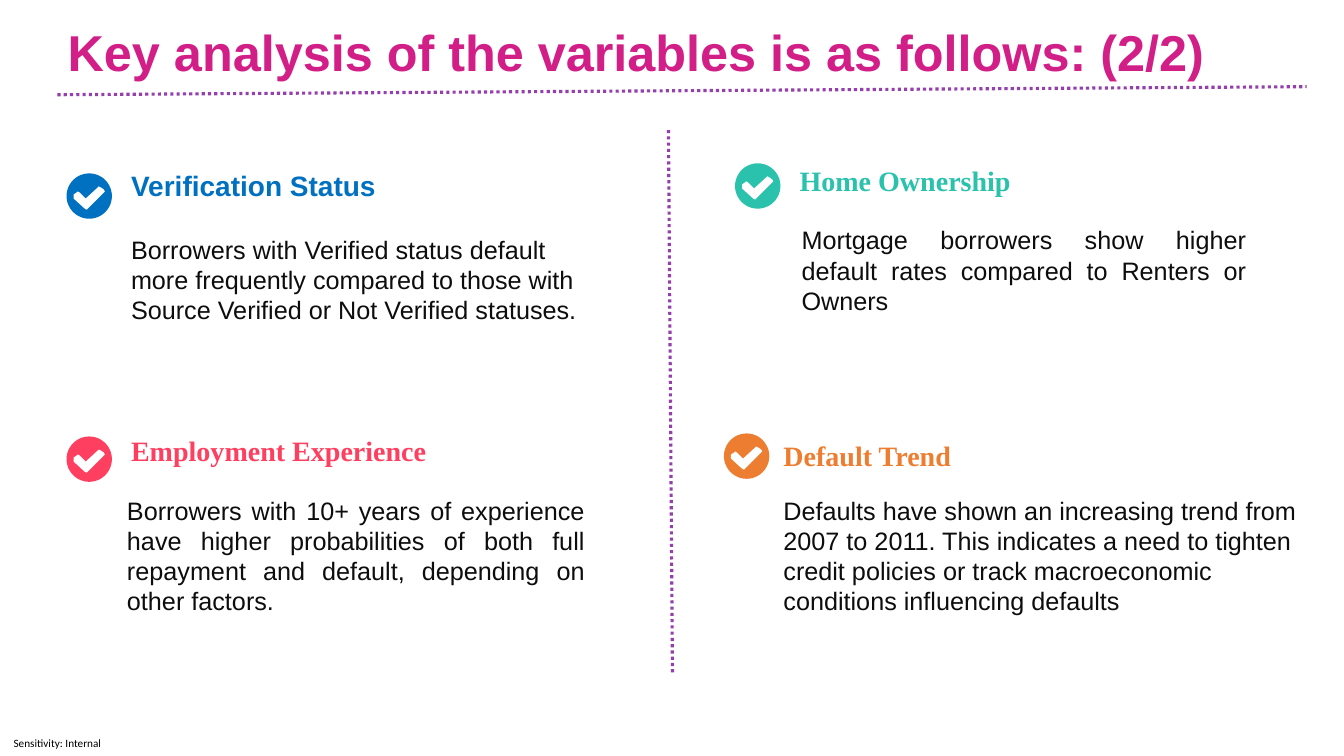
from lxml.etree import SubElement
from pptx import Presentation
from pptx.dml.color import RGBColor
from pptx.enum.dml import MSO_LINE
from pptx.enum.shapes import MSO_CONNECTOR, MSO_SHAPE
from pptx.enum.text import MSO_ANCHOR, MSO_AUTO_SIZE, PP_ALIGN
from pptx.oxml.ns import qn
from pptx.util import Inches, Pt

COLORS = {
    "title": "D21F88", "rule": "943FAB", "body": "0D0D0D", "label": "000000",
    "blue": "0070C0", "teal": "2AC2AC", "red": "FF3F5F", "orange": "ED7D31",
    "tick": "FFFFFF",
}
ICON = 0.45
HEAD_H = 0.34
LINE_H = 0.3
# Tick outline in hundredths of an inch from the icon's top left corner
TICK = [(37, 16), (34, 14), (32, 13), (31, 14), (19, 25), (13, 19), (11, 18),
        (10, 19), (7, 21), (7, 25), (18, 35), (20, 36), (21, 35), (37, 19), (38, 18)]


def rgb(name):
    return RGBColor.from_string(COLORS[name])


def add_text(box, text, size, font, color, bold=False, align=PP_ALIGN.LEFT, wrap=True):
    """Add a text box without insets; box is left, top, width, height in inches."""
    tf = s.shapes.add_textbox(*map(Inches, box)).text_frame
    tf.margin_left = tf.margin_right = tf.margin_top = tf.margin_bottom = 0
    tf.word_wrap = wrap
    p = tf.paragraphs[0]
    p.text = text
    p.alignment = align
    p.font.size, p.font.name, p.font.bold = Pt(size), font, bold
    p.font.color.rgb = rgb(color)
    return tf


prs = Presentation()
prs.slide_width, prs.slide_height = Inches(13.33), Inches(7.5)
s = prs.slides.add_slide(prs.slide_layouts[5])

# Title
title = s.shapes.title
title.left, title.top, title.width, title.height = map(Inches, (0.57, 0.21, 11.5, 0.67))
tf = title.text_frame
tf.text = "Key analysis of the variables is as follows: (2/2)"
tf.auto_size = MSO_AUTO_SIZE.NONE
tf.vertical_anchor = MSO_ANCHOR.MIDDLE
p = tf.paragraphs[0]
p.alignment, p.line_spacing = PP_ALIGN.LEFT, 0.9
p.font.size, p.font.name, p.font.bold = Pt(36), "Arial", True
p.font.color.rgb = rgb("title")

# Dotted rules: centre divider and title underline
for ends in [(6.63, 1.29, 6.67, 6.7), (0.57, 0.94, 12.96, 0.86)]:
    rule = s.shapes.add_connector(MSO_CONNECTOR.STRAIGHT, *map(Inches, ends))
    rule.line.color.rgb = rgb("rule")
    rule.line.width = Pt(2.25)
    rule.line.dash_style = MSO_LINE.ROUND_DOT
    SubElement(rule._element.spPr, qn("a:effectLst"))

# Findings: heading, font, colour, icon corner, heading box, body box, lines, alignment, body
SERIF = "Times New Roman"
findings = [
    ("Verification Status", "Arial", "blue", (0.66, 1.72), (1.3, 1.67, 3.79),
     (1.3, 2.32, 4.54), 3, PP_ALIGN.LEFT,
     "Borrowers with Verified status default more frequently compared to those "
     "with Source Verified or Not Verified statuses."),
    ("Home Ownership", SERIF, "teal", (7.29, 1.62), (7.93, 1.62, 2.11),
     (7.95, 2.23, 4.41), 3, PP_ALIGN.JUSTIFY,
     "Mortgage borrowers show higher default rates compared to Renters or Owners"),
    ("Employment Experience", SERIF, "red", (0.66, 4.33), (1.3, 4.3, 3.97),
     (1.26, 4.91, 4.54), 4, PP_ALIGN.JUSTIFY,
     "Borrowers with 10+ years of experience have higher probabilities of both "
     "full repayment and default, depending on other factors."),
    ("Default Trend", SERIF, "orange", (7.18, 4.3), (7.77, 4.35, 4.08),
     (7.77, 4.91, 5.15), 4, PP_ALIGN.LEFT,
     "Defaults have shown an increasing trend from 2007 to 2011. This indicates a "
     "need to tighten credit policies or track macroeconomic conditions "
     "influencing defaults"),
]
for heading, font, color, (x, y), head_box, body_box, lines, align, body in findings:
    disc = s.shapes.add_shape(MSO_SHAPE.OVAL, *map(Inches, (x, y, ICON, ICON)))
    points = [(x * 100 + dx, y * 100 + dy) for dx, dy in TICK]
    builder = s.shapes.build_freeform(*points[0], scale=Inches(0.01))
    builder.add_line_segments(points[1:], close=True)
    for sp, fill in [(disc, color), (builder.convert_to_shape(), "tick")]:
        sp.shadow.inherit = False
        sp.fill.solid()
        sp.fill.fore_color.rgb = rgb(fill)
        sp.line.fill.background()
    add_text((*head_box, HEAD_H), heading, 20, font, color, bold=True)
    add_text((*body_box, lines * LINE_H), body, 18, "Arial", "body", align=align)

# Sensitivity label
tf = add_text((0, 7.25, 1.14, 0.25), "Sensitivity: Internal", 8, "Calibri", "label",
              align=PP_ALIGN.CENTER, wrap=False)
tf.vertical_anchor = MSO_ANCHOR.MIDDLE

prs.save("out.pptx")
